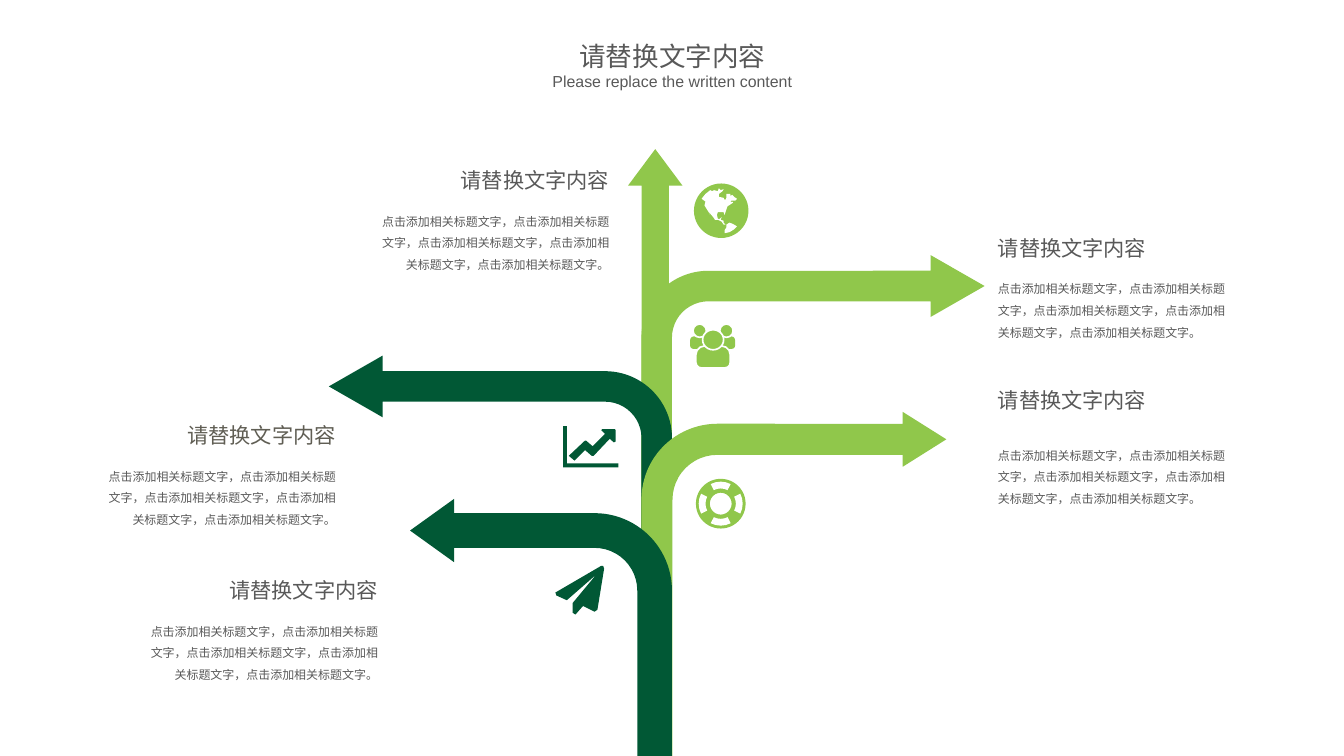
from lxml.etree import SubElement
from pptx import Presentation
from pptx.dml.color import RGBColor
from pptx.enum.shapes import MSO_SHAPE
from pptx.enum.text import MSO_ANCHOR, MSO_AUTO_SIZE, PP_ALIGN
from pptx.oxml.ns import qn
from pptx.util import Inches, Pt

LIME = RGBColor(0x90, 0xC7, 0x4B)
PINE = RGBColor(0x01, 0x58, 0x35)
GRAY = RGBColor(0x59, 0x59, 0x59)
TAUPE = RGBColor(0x60, 0x5E, 0x54)
WHITE = RGBColor(0xFF, 0xFF, 0xFF)
CJK = "Noto Sans CJK SC"
HEAD = "请替换文字内容"
BODY = "，".join(["点击添加相关标题文字"] * 5) + "。"

# Icon outlines, in hundredths of an inch on the slide
PLANE = [[(632, 595), (625, 638), (622, 640), (610, 634), (602, 643),
          (599, 641), (599, 631), (624, 601), (593, 628), (582, 623),
          (581, 620), (629, 592), (631, 592)]]
CHART = [
    [(647, 489), (589, 489), (589, 446), (593, 446), (593, 485), (647, 485)],
    [(644, 462), (642, 463), (638, 459), (621, 477), (619, 477), (612, 471),
     (601, 482), (595, 477), (612, 461), (613, 461), (620, 467), (633, 454),
     (629, 450), (630, 449), (643, 449), (644, 450)],
]
LAND = [
    [(764, 212), (765, 210), (769, 210), (771, 208), (768, 206), (766, 204),
     (764, 205), (764, 203), (760, 203), (760, 207), (759, 209), (758, 209),
     (757, 207), (752, 206), (752, 203), (756, 200), (757, 198), (754, 199),
     (752, 197), (751, 200), (747, 199), (745, 200), (743, 199), (738, 203),
     (734, 208), (738, 211), (737, 215), (742, 223), (743, 225), (741, 221),
     (746, 227), (748, 230), (751, 230), (755, 232), (757, 235), (759, 235),
     (757, 233), (757, 231), (754, 230), (755, 227), (753, 229), (751, 229),
     (750, 225), (751, 222), (757, 222), (758, 225), (759, 222), (760, 219),
     (761, 216), (764, 214), (767, 212), (766, 211)],
    [(771, 237), (768, 235), (766, 234), (763, 233), (760, 235), (760, 238),
     (758, 241), (758, 244), (763, 243), (768, 240)],
]


def paint(shape, fill, line=None):
    shape.shadow.inherit = False
    shape.fill.solid()
    shape.fill.fore_color.rgb = fill
    if line is None:
        shape.line.fill.background()
    else:
        shape.line.color.rgb = line
        shape.line.width = Pt(1.25)


def preset(slide, kind, box, fill, adjs=(), line=None):
    shape = slide.shapes.add_shape(kind, *map(Inches, box))
    for i, adj in enumerate(adjs):
        shape.adjustments[i] = adj
    paint(shape, fill, line)
    return shape


def branch(slide, box, fill, adjs, left=False):
    """Bent arrow that grows from the trunk to the right, or to the left."""
    shape = preset(slide, MSO_SHAPE.BENT_ARROW, box, fill, adjs)
    if left:
        shape._element.spPr.find(qn("a:xfrm")).set("flipH", "1")


def outline(slide, rings, fill):
    pen = None
    for ring in rings:
        if pen is None:
            pen = slide.shapes.build_freeform(*ring[0], scale=Inches(0.01))
        else:
            pen.move_to(*ring[0])
        pen.add_line_segments(ring[1:], close=True)
    paint(pen.convert_to_shape(), fill)


def style(para, size, color, align, space, font=CJK):
    para.alignment = align
    para.line_spacing = space
    for run in para.runs:
        run.font.size = Pt(size)
        run.font.color.rgb = color
        run.font.name = font
        SubElement(run.font._element, qn("a:ea")).set("typeface", CJK)


def label(slide, box, align, color=GRAY, gap=10.8):
    frame = slide.shapes.add_textbox(*map(Inches, box)).text_frame
    frame.word_wrap = True
    head = frame.paragraphs[0]
    head.text = HEAD
    style(head, 16, color, align, Pt(19.2))
    head.space_after = Pt(gap)
    body = frame.add_paragraph()
    body.text = BODY
    style(body, 9, GRAY, align, Pt(16.2))


def header(slide):
    title = slide.shapes.title
    sub = slide.shapes.add_textbox(0, 0, 0, 0)
    for shape, box, text, size, space, font in (
            (title, (5.95, 0.2, 2.17, 0.55), HEAD, 20, Pt(36), "Calibri"),
            (sub, (5.67, 0.6, 2.73, 0.37),
             "Please replace the written content", 12, 1.5, "Arial")):
        shape.left, shape.top, shape.width, shape.height = map(Inches, box)
        frame = shape.text_frame
        frame.text = text
        frame.word_wrap = False
        frame.auto_size = MSO_AUTO_SIZE.NONE
        frame.vertical_anchor = MSO_ANCHOR.TOP
        style(frame.paragraphs[0], size, GRAY, PP_ALIGN.CENTER, space, font)


def tree(slide):
    slim = (0.089, 0.09, 0.157, 0.195)
    preset(slide, MSO_SHAPE.UP_ARROW, (6.57, 1.56, 0.57, 6.35), LIME,
           (0.5, 0.671))
    branch(slide, (6.71, 2.67, 3.59, 5.24), LIME, slim)
    branch(slide, (3.44, 3.72, 3.59, 4.19), PINE, slim, left=True)
    branch(slide, (6.71, 4.31, 3.19, 3.6), LIME, (0.102, 0.09, 0.143, 0.249))
    branch(slide, (4.29, 5.22, 2.74, 2.69), PINE,
           (0.135, 0.123, 0.171, 0.301), left=True)


def globe(slide):
    preset(slide, MSO_SHAPE.OVAL, (7.26, 1.92, 0.57, 0.57), LIME)
    outline(slide, LAND, WHITE)


def buoy(slide):
    preset(slide, MSO_SHAPE.DONUT, (7.28, 5.01, 0.52, 0.52), LIME, (0.28,))
    turn, half = 0.6, 27  # adjustment units per degree, half a gap in degrees
    for mid in range(0, 360, 90):
        preset(slide, MSO_SHAPE.BLOCK_ARC, (7.31, 5.04, 0.46, 0.46), WHITE,
               ((mid - half) % 360 * turn, (mid + half) * turn, 0.155))


def crowd(slide):
    trunk = MSO_SHAPE.ROUND_2_SAME_RECTANGLE
    for left, face in ((7.22, 7.25), (7.53, 7.53)):
        preset(slide, trunk, (left, 3.52, 0.16, 0.13), LIME, (0.3, 0.25))
        preset(slide, MSO_SHAPE.OVAL, (face, 3.39, 0.14, 0.14), LIME,
               line=WHITE)
    preset(slide, trunk, (7.28, 3.62, 0.36, 0.23), LIME, (0.4, 0.25), WHITE)
    preset(slide, MSO_SHAPE.OVAL, (7.35, 3.45, 0.22, 0.21), LIME, line=WHITE)


def main():
    deck = Presentation()
    deck.slide_width, deck.slide_height = Inches(14.06), Inches(7.91)
    slide = deck.slides.add_slide(deck.slide_layouts[5])
    tree(slide)
    label(slide, (1.4, 5.99, 2.65, 1.18), PP_ALIGN.RIGHT)
    label(slide, (1, 4.37, 2.61, 1.35), PP_ALIGN.RIGHT, TAUPE)
    label(slide, (10.34, 4, 2.61, 1.51), PP_ALIGN.LEFT, gap=21.6)
    label(slide, (3.86, 1.7, 2.61, 1.35), PP_ALIGN.RIGHT)
    label(slide, (10.34, 2.41, 2.61, 1.35), PP_ALIGN.LEFT)
    outline(slide, PLANE, PINE)
    globe(slide)
    outline(slide, CHART, PINE)
    buoy(slide)
    crowd(slide)
    header(slide)
    deck.save("out.pptx")


if __name__ == "__main__":
    main()
